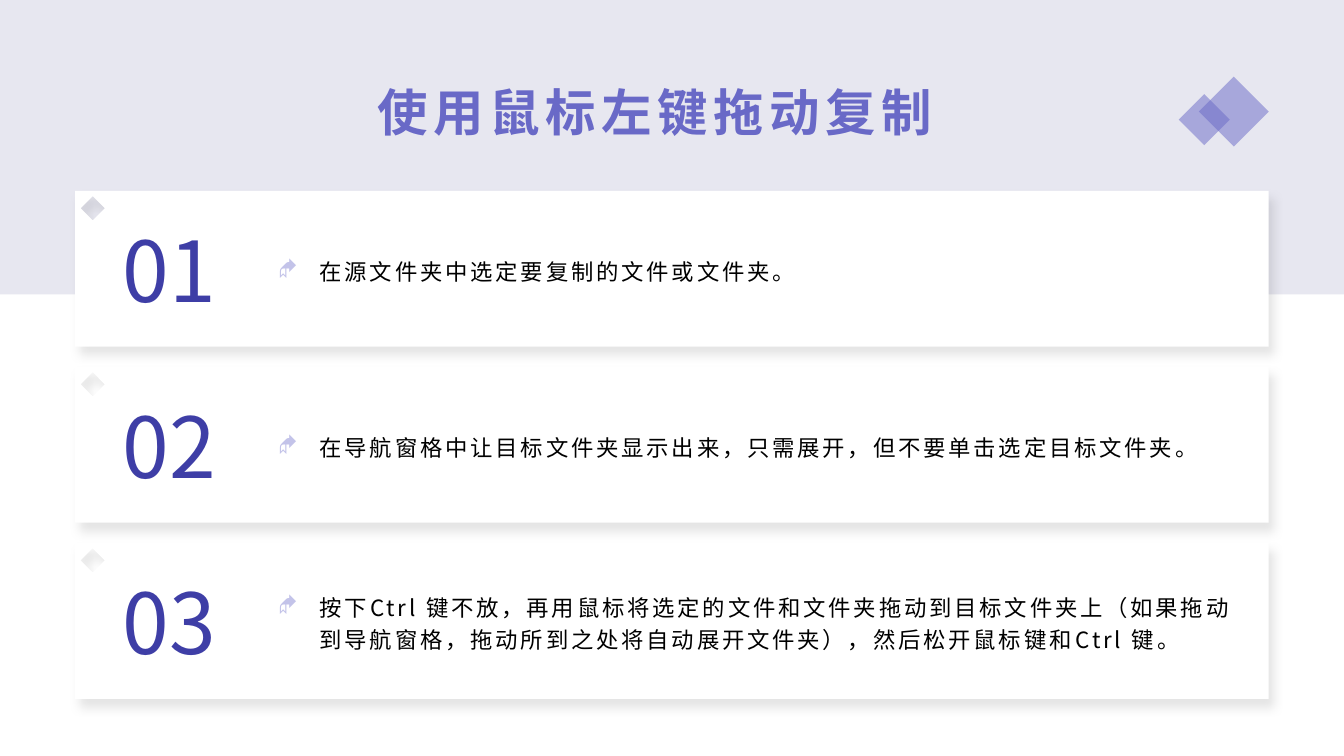
from dataclasses import dataclass

from lxml.etree import SubElement
from pptx import Presentation
from pptx.dml.color import RGBColor
from pptx.enum.shapes import MSO_SHAPE as Shape
from pptx.enum.text import MSO_ANCHOR as Anchor, PP_ALIGN as Align
from pptx.oxml.ns import qn
from pptx.util import Inches, Pt


@dataclass(frozen=True)
class Theme:
    font: str = "Noto Sans CJK SC"
    bullet_font: str = "Wingdings"
    band: str = "E7E7F0"
    accent: str = "6969C7"
    number: str = "3E3EA6"
    bullet: str = "C3C3E9"
    card: str = "FFFFFF"
    ink: str = "000000"
    title_size: float = 27
    number_size: float = 45
    body_size: float = 12


class SlideBuilder:
    def __init__(self, slide, theme):
        self.slide = slide
        self.theme = theme

    def paint(self, shape, color):
        shape.shadow.inherit = False
        shape.fill.solid()
        shape.fill.fore_color.rgb = RGBColor.from_string(color)
        shape.line.fill.background()

    def shape(self, kind, left, top, width, height, color, opacity=None):
        shape = self.slide.shapes.add_shape(
            kind, Inches(left), Inches(top), Inches(width), Inches(height))
        self.paint(shape, color)
        if opacity:
            tone = shape._element.spPr.find(qn("a:solidFill")).find(qn("a:srgbClr"))
            SubElement(tone, qn("a:alpha"), val=str(opacity * 1000))

    def card(self, left, top, width, height):
        def points(*pairs):
            return [(Inches(x), Inches(y)) for x, y in pairs]

        middle, center, radius = left + 0.13, top + 0.13, 0.09
        notch = points((middle, center - radius), (middle - radius, center),
                       (middle, center + radius), (middle + radius, center))
        right, bottom = left + width, top + height
        outline = points((left, top), (right, top), (right, bottom), (left, bottom))
        builder = self.slide.shapes.build_freeform(*notch[0], scale=1.0)
        builder.add_line_segments(notch[1:], close=True)
        builder.move_to(*outline[0])
        builder.add_line_segments(outline[1:], close=True)
        card = builder.convert_to_shape()
        self.paint(card, self.theme.card)
        effects = card._element.spPr.find(qn("a:effectLst"))
        shadow = SubElement(effects, qn("a:outerShdw"), blurRad=str(Pt(5)),
                            dist=str(Pt(5)), dir="3600000", algn="ctr", rotWithShape="0")
        tone = SubElement(shadow, qn("a:srgbClr"), val=self.theme.ink)
        SubElement(tone, qn("a:alpha"), val="10000")

    def text(self, words, left, top, width, height, size, color, align=Align.LEFT,
             anchor=Anchor.MIDDLE, wrap=True, bold=False, spacing=0, bullet=False,
             side_margin=0.1, end_margin=0.05):
        box = self.slide.shapes.add_textbox(
            Inches(left), Inches(top), Inches(width), Inches(height))
        frame = box.text_frame
        frame.word_wrap = wrap
        frame.vertical_anchor = anchor
        frame.margin_left = frame.margin_right = Inches(side_margin)
        frame.margin_top = frame.margin_bottom = Inches(end_margin)
        para = frame.paragraphs[0]
        para.alignment = align
        if bullet:
            self.bullet(para)
        span = para.add_run()
        span.text = words
        span.font.size = Pt(size)
        span.font.bold = bold
        span.font.name = self.theme.font
        span.font.color.rgb = RGBColor.from_string(color)
        props = span._r.get_or_add_rPr()
        SubElement(props, qn("a:ea"), typeface=self.theme.font)
        if spacing:
            props.set("spc", str(int(spacing * 100)))

    def bullet(self, para):
        props = para._p.get_or_add_pPr()
        props.set("marL", str(Inches(0.31)))
        props.set("indent", str(-Inches(0.31)))
        tone = SubElement(props, qn("a:buClr"))
        SubElement(tone, qn("a:srgbClr"), val=self.theme.bullet)
        SubElement(props, qn("a:buFont"), typeface=self.theme.bullet_font)
        SubElement(props, qn("a:buChar"), char="◆")
        para.line_spacing = 1.2
        para.space_after = Pt(10)

    def title(self, words):
        self.text(words, 0.81, 0.56, 8.12, 0.53, self.theme.title_size,
                  self.theme.accent, Align.CENTER, Anchor.TOP, bold=True,
                  spacing=3, side_margin=0.07, end_margin=0.04)

    def step(self, number, words, top):
        self.card(0.56, top, 8.88, 1.16)
        self.text(words, 1.97, top + 0.24, 7.35, 0.68, self.theme.body_size,
                  self.theme.ink, spacing=1.5, bullet=True)
        self.text(f"{number:02}", 0.84, top + 0.15, 0.84, 0.86,
                  self.theme.number_size, self.theme.number, Align.CENTER,
                  wrap=False, side_margin=0)


STEPS = [
    "在源文件夹中选定要复制的文件或文件夹。",
    "在导航窗格中让目标文件夹显示出来，只需展开，但不要单击选定目标文件夹。",
    "按下Ctrl 键不放，再用鼠标将选定的文件和文件夹拖动到目标文件夹上"
    "（如果拖动到导航窗格，拖动所到之处将自动展开文件夹），然后松开鼠标键和Ctrl 键。",
]


def main():
    theme = Theme()
    deck = Presentation()
    deck.slide_width = Inches(10)
    deck.slide_height = deck.slide_width * 9 // 16
    page = SlideBuilder(deck.slides.add_slide(deck.slide_layouts[6]), theme)
    page.shape(Shape.RECTANGLE, 0, 0, 10, 2.19, theme.band)
    page.title("使用鼠标左键拖动复制")
    for index, words in enumerate(STEPS):
        page.step(index + 1, words, 1.42 + index * 1.31)
    for left, top, side in [(8.92, 0.57, 0.52), (8.77, 0.7, 0.38)]:
        page.shape(Shape.DIAMOND, left, top, side, side, theme.accent, opacity=50)
    deck.save("out.pptx")


if __name__ == "__main__":
    main()
